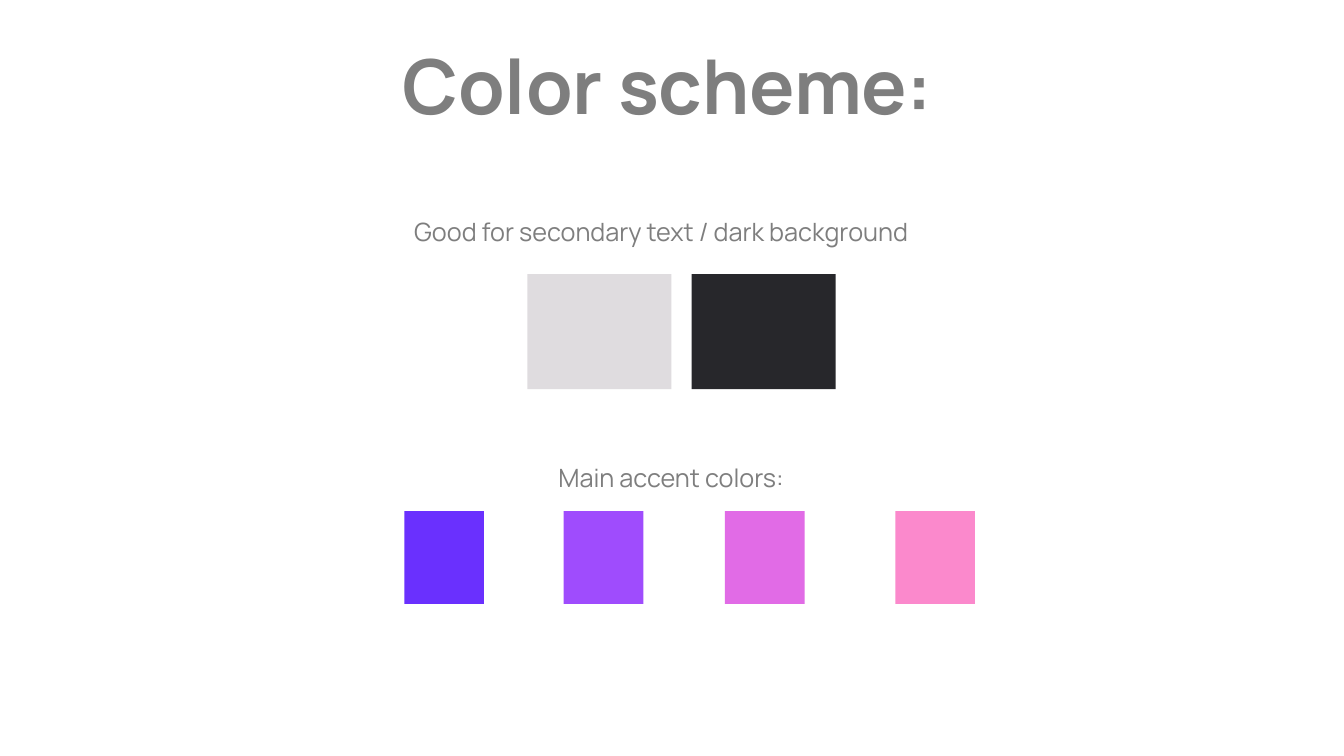
"""Build a slide that presents a colour scheme as labelled swatches."""
import pptx
import pptx.dml.color
import pptx.enum.shapes
import pptx.enum.text
import pptx.util

Inches = pptx.util.Inches

COLORS = {
    "text": "7E7E7E",
    "light": "DFDCDF",
    "dark": "27272B",
    "indigo": "6A30FE",
    "violet": "9F4CFD",
    "orchid": "E16BE6",
    "pink": "FB89CC",
}

TITLE = ("Color scheme:", (3.89, 0.34, 5.56, 1.01))

GROUPS = [
    {
        "caption": "Good for secondary text / dark background",
        "caption_box": (4.01, 2.1, 5.32, 0.4),
        "top": 2.72,
        "size": (1.43, 1.14),
        "swatches": [("light", 5.23), ("dark", 6.86)],
    },
    {
        "caption": "Main accent colors:",
        "caption_box": (5.44, 4.54, 2.45, 0.4),
        "top": 5.07,
        "size": (0.79, 0.92),
        "swatches": [("indigo", 4.01), ("violet", 5.59), ("orchid", 7.19), ("pink", 8.88)],
    },
]

TITLE_FONT = {"name": "Manrope", "size": pptx.util.Pt(54), "bold": True}
CAPTION_FONT = {"name": "Manrope", "size": pptx.util.Pt(18), "bold": False}
FRAME_FORMAT = {
    "word_wrap": False,
    "auto_size": pptx.enum.text.MSO_AUTO_SIZE.SHAPE_TO_FIT_TEXT,
    "vertical_anchor": pptx.enum.text.MSO_ANCHOR.TOP,
}


def rgb(color):
    return pptx.dml.color.RGBColor.from_string(COLORS[color])


def apply(target, values):
    for attribute, value in values.items():
        setattr(target, attribute, value)


def write(holder, wording, font):
    frame = holder.text_frame
    apply(frame, FRAME_FORMAT)
    paragraph = frame.paragraphs[0]
    paragraph.alignment = pptx.enum.text.PP_ALIGN.LEFT
    run = paragraph.add_run()
    run.text = wording
    apply(run.font, font)
    run.font.color.rgb = rgb("text")


def add_swatch(slide, color, left, top, size):
    box = map(Inches, (left, top, *size))
    swatch = slide.shapes.add_shape(pptx.enum.shapes.MSO_SHAPE.RECTANGLE, *box)
    swatch.shadow.inherit = False
    swatch.fill.solid()
    swatch.fill.fore_color.rgb = rgb(color)
    swatch.line.fill.background()


def main():
    deck = pptx.Presentation()
    apply(deck, {"slide_width": Inches(13.33), "slide_height": Inches(7.5)})
    slide = deck.slides.add_slide(deck.slide_layouts.get_by_name("Title Only"))

    wording, title_box = TITLE
    title = slide.shapes.title
    apply(title, dict(zip(("left", "top", "width", "height"), map(Inches, title_box))))
    write(title, wording, TITLE_FONT)

    for group in GROUPS:
        caption = slide.shapes.add_textbox(*map(Inches, group["caption_box"]))
        write(caption, group["caption"], CAPTION_FONT)
        for color, left in group["swatches"]:
            add_swatch(slide, color, left, group["top"], group["size"])

    deck.save("out.pptx")


if __name__ == "__main__":
    main()
